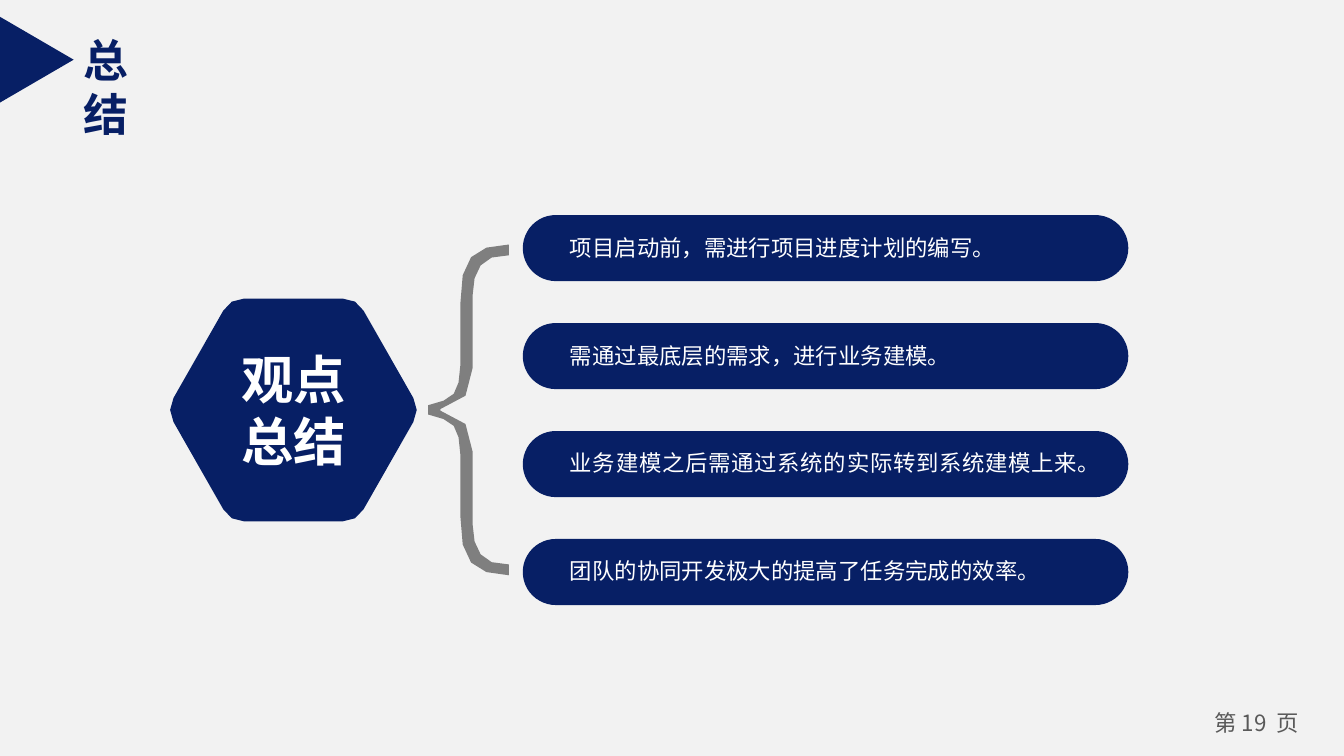
from dataclasses import dataclass
from math import comb

from pptx import Presentation
from pptx.dml.color import RGBColor
from pptx.enum import shapes, text
from pptx.util import Pt


@dataclass(frozen=True)
class Theme:
    """Colours, fonts and type sizes of the slide."""
    paper: str = "F2F2F2"
    navy: str = "071F65"
    grey: str = "7F7F7F"
    footer: str = "595959"
    white: str = "FFFFFF"
    cjk: str = "Noto Sans CJK SC"
    latin: str = "Arial"
    title: int = 24
    topic: int = 28
    body: int = 12


THEME = Theme()
ALIGN = text.PP_ALIGN
POINTS = [
    "项目启动前，需进行项目进度计划的编写。",
    "需通过最底层的需求，进行业务建模。",
    "业务建模之后需通过系统的实际转到系统建模上来。",
    "团队的协同开发极大的提高了任务完成的效率。",
]


def paint(shape, color):
    """Give a shape a flat fill without line or shadow."""
    shape.shadow.inherit = False
    shape.fill.solid()
    shape.fill.fore_color.rgb = RGBColor.from_string(color)
    shape.line.fill.background()
    return shape


def add_preset(slide, kind, box, color):
    """Add a flat preset shape in the given box."""
    return paint(slide.shapes.add_shape(kind, *map(Pt, box)), color)


def add_outline(slide, outline, color):
    """Add a flat closed shape through the given points."""
    start, *rest = [(Pt(x), Pt(y)) for x, y in outline]
    builder = slide.shapes.build_freeform(*start, scale=1.0)
    builder.add_line_segments(rest, close=True)
    return paint(builder.convert_to_shape(), color)


def add_words(slide, box, words, size, color, font=THEME.cjk, bold=False,
              align=ALIGN.LEFT, insets=(0, 0, 0, 0), leading=None):
    """Add a one-paragraph wrapping text box; insets run left, top, right, bottom."""
    frame = slide.shapes.add_textbox(*map(Pt, box)).text_frame
    frame.word_wrap = True
    (frame.margin_left, frame.margin_top,
     frame.margin_right, frame.margin_bottom) = map(Pt, insets)
    paragraph = frame.paragraphs[0]
    paragraph.text = words
    paragraph.alignment = align
    if leading:
        paragraph.line_spacing = Pt(leading)
    paragraph.font.name = font
    paragraph.font.size = Pt(size)
    paragraph.font.bold = bold
    paragraph.font.color.rgb = RGBColor.from_string(color)


def bezier(controls, steps=2):
    """Return points along a Bezier curve of any degree."""
    degree = len(controls) - 1

    def at(t):
        weights = [comb(degree, i) * t**i * (1 - t)**(degree - i)
                   for i in range(degree + 1)]
        return tuple(sum(w * c[axis] for w, c in zip(weights, controls))
                     for axis in (0, 1))

    return [at(step / steps) for step in range(steps + 1)]


def add_header(slide, left, top):
    """Place the corner arrow and the page title, one character to a line."""
    arrow = add_preset(slide, shapes.MSO_SHAPE.ISOSCELES_TRIANGLE,
                       (left - 3.4, top, 46.1, 39.6), THEME.navy)
    arrow.rotation = 90
    add_words(slide, (left + 37.8, top + 1.9, 62.6, 36), "总结", THEME.title,
              THEME.navy, THEME.latin, True, insets=(7.2, 3.6, 21.6, 3.6))


def add_topic(slide, left, top, width, height):
    """Place the rounded hexagon and its label."""
    overhang, slant, cut = 1.6, 34, 7.4
    middle, right = top + height / 2, left + width
    upper, lower = left - overhang + slant, right + overhang - slant
    corners = [(left - overhang, middle), (upper, top), (lower, top),
               (right + overhang, middle), (lower, top + height),
               (upper, top + height)]

    def toward(a, b):
        length = ((b[0] - a[0])**2 + (b[1] - a[1])**2) ** 0.5
        return tuple(p + (q - p) * cut / length for p, q in zip(a, b))

    outline = []
    for i, corner in enumerate(corners):
        following = corners[(i + 1) % len(corners)]
        outline += bezier([toward(corner, corners[i - 1]), corner,
                           toward(corner, following)])
    add_outline(slide, outline, THEME.navy)
    add_words(slide, (left + 30.9, top + 25.9, 71.3, 67.7), "观点总结",
              THEME.topic, THEME.white, bold=True, align=ALIGN.CENTER)


def add_brace(slide, left, middle):
    """Place the brace: its upper half and the mirror of that half."""
    strokes = [
        [(0, -2.5), (6.5, -4), (10.8, -5.4), (13.7, -8.6)],
        [(13.7, -8.6), (15.8, -11.5), (17.3, -16.6), (17.3, -24.5)],
        [(17.3, -57.6), (17.3, -69), (18.7, -77), (23, -81.8)],
        [(23, -81.8), (27.4, -86.4), (33.8, -88.6), (43.2, -88.6)],
        [(43.2, -82.8), (36, -82.8), (31, -81.4), (28.1, -77.4)],
        [(28.1, -77.4), (25.2, -73.5), (23.8, -68.4), (23.8, -61.2)],
        [(23.8, -22.3), (23.8, -12.2), (19.4, -0.4), (6.5, -0.4)],
    ]
    half = []
    for stroke in strokes:
        half += [point for point in bezier(stroke) if point not in half]
    whole = half + [(x, -y) for x, y in reversed(half)]
    add_outline(slide, [(left + x, middle + y) for x, y in whole], THEME.grey)


def add_pills(slide, left, top, width, pitch):
    """Place one pill for each statement."""
    for row in range(len(POINTS)):
        pill = add_preset(slide, shapes.MSO_SHAPE.ROUNDED_RECTANGLE,
                          (left, top + row * pitch, width, 35.4), THEME.navy)
        pill.adjustments[0] = 0.5


def add_statements(slide, left, top, width, pitch):
    """Place the statements at equal steps."""
    for row, statement in enumerate(POINTS):
        add_words(slide, (left, top + row * pitch, width, 13), statement,
                  THEME.body, THEME.white, align=ALIGN.JUSTIFY, leading=13)


def add_footer(slide, left, top):
    """Place the page number."""
    add_words(slide, (left, top, 64.8, 21.6), "第 19  页", THEME.body,
              THEME.footer, align=ALIGN.CENTER, insets=(5, 2.9, 5, 2.9))


def build_summary(deck):
    """Build the summary slide."""
    slide = deck.slides.add_slide(deck.slide_layouts[6])
    slide.background.fill.solid()
    slide.background.fill.fore_color.rgb = RGBColor.from_string(THEME.paper)
    add_footer(slide, 640.8, 376.8)
    add_header(slide, 0, 12.2)
    add_topic(slide, 90.9, 160, 132.6, 119.3)
    add_brace(slide, 229.4, 219.6)
    add_pills(slide, 280.1, 115.2, 324.4, 57.85)
    add_statements(slide, 305.3, 126.9, 272.6, 57.6)


deck = Presentation()
deck.slide_width, deck.slide_height = Pt(720), Pt(405)
build_summary(deck)
deck.save("out.pptx")
